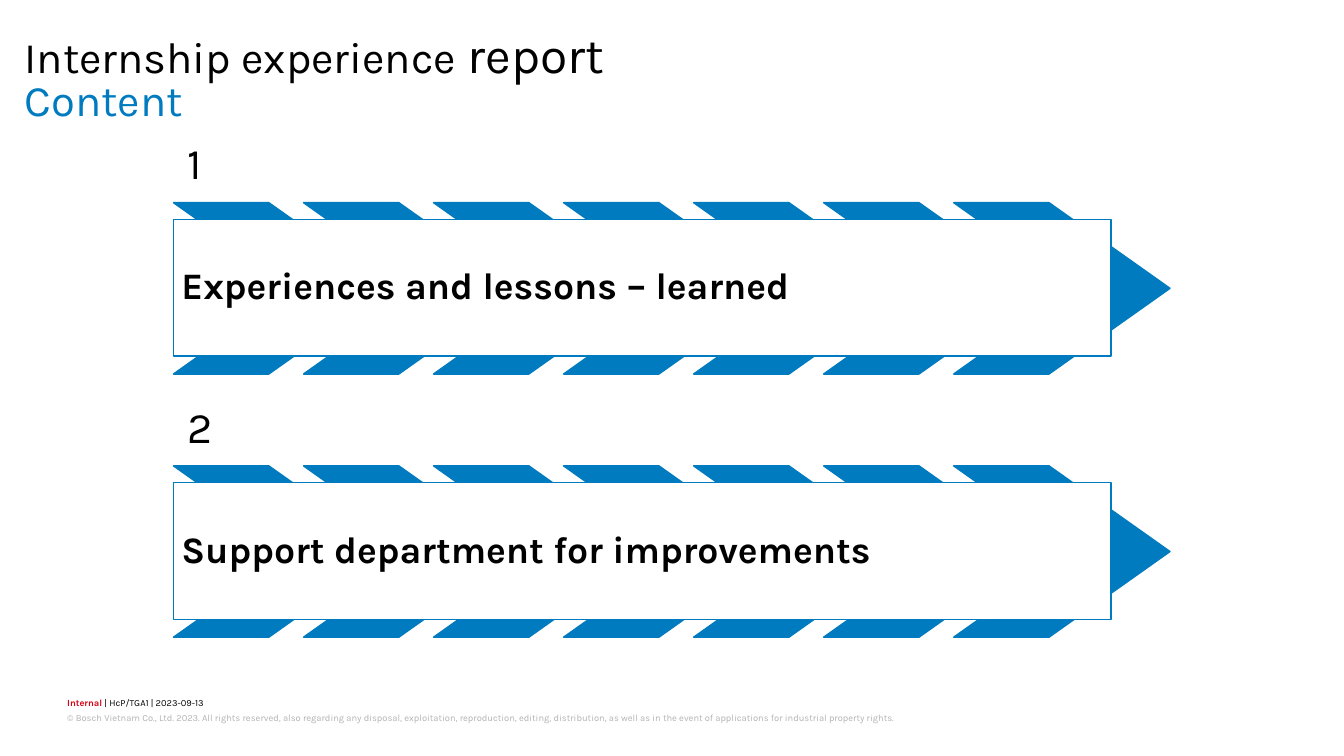
from dataclasses import dataclass

from pptx import Presentation
from pptx.dml.color import RGBColor
from pptx.enum.shapes import MSO_SHAPE
from pptx.enum.text import MSO_ANCHOR, PP_ALIGN
from pptx.util import Inches, Pt

BLUE = RGBColor(0x00, 0x7B, 0xC0)
RED = RGBColor(0xD7, 0x00, 0x12)
GREY = RGBColor(0xB2, 0xB3, 0xB5)
BLACK = RGBColor(0x00, 0x00, 0x00)
WHITE = RGBColor(0xFF, 0xFF, 0xFF)

CHEVRON, RECT = MSO_SHAPE.CHEVRON, MSO_SHAPE.RECTANGLE
TOP, MIDDLE, BOTTOM = MSO_ANCHOR.TOP, MSO_ANCHOR.MIDDLE, MSO_ANCHOR.BOTTOM
LEFT = PP_ALIGN.LEFT
FONT = "Karla"

ROW_LEFT = 1.55
ROW_TOP = 1.06
ROW_STEP = 2.35
CHEVRON_COUNT = 7
CHEVRON_STEP = 1.161


@dataclass
class Run:
    text: str
    size: float
    color: RGBColor = BLACK
    bold: bool = False


@dataclass
class Box:
    left: float
    top: float
    width: float
    height: float

    def emu(self) -> tuple:
        return tuple(Inches(v) for v in (self.left, self.top, self.width, self.height))


def write(sp, runs: list[Run], inset: float = 0, anchor=TOP,
          spacing: float = 0.9) -> None:
    tf = sp.text_frame
    tf.word_wrap = True
    tf.vertical_anchor = anchor
    tf.margin_left = tf.margin_right = Inches(inset)
    tf.margin_top = tf.margin_bottom = Inches(inset)
    p = tf.paragraphs[0]
    p.alignment = LEFT
    p.line_spacing = spacing
    for run in runs:
        r = p.add_run()
        r.text = run.text
        r.font.name = FONT
        r.font.size = Pt(run.size)
        r.font.bold = run.bold
        r.font.color.rgb = run.color


def add_text(slide, box: Box, runs: list[Run], **layout) -> None:
    write(slide.shapes.add_textbox(*box.emu()), runs, **layout)


def add_block(slide, kind, box: Box, fill: RGBColor):
    sp = slide.shapes.add_shape(kind, *box.emu())
    sp.shadow.inherit = False
    sp.fill.solid()
    sp.fill.fore_color.rgb = fill
    sp.line.color.rgb = BLUE
    sp.line.width = Pt(1)
    return sp


def add_row(slide, top: float, number: int, topic: str) -> None:
    add_text(slide, Box(ROW_LEFT, top, 8.26, 0.75), [Run(str(number), 28)],
             inset=0.12, anchor=BOTTOM)
    for i in range(CHEVRON_COUNT):
        box = Box(ROW_LEFT + i * CHEVRON_STEP, top + 0.75, 1.93, 1.53)
        sp = add_block(slide, CHEVRON, box, BLUE)
        sp.adjustments[0] = 0.706
    panel = add_block(slide, RECT, Box(ROW_LEFT, top + 0.9, 8.37, 1.22), WHITE)
    write(panel, [Run(topic, 24, bold=True)], inset=0.07, anchor=MIDDLE)


def main() -> None:
    prs = Presentation()
    prs.slide_width, prs.slide_height = Inches(12), Inches(6.75)
    slide = prs.slides.add_slide(prs.slide_layouts[6])

    # Footer
    add_text(slide, Box(0.6, 6.22, 9.98, 0.12),
             [Run("Internal", 6, RED, True), Run(" | HcP/TGA1 | 2023-09-13", 6)],
             spacing=1.07)
    add_text(slide, Box(0.6, 6.34, 9.98, 0.24),
             [Run("© Bosch Vietnam Co., Ltd. 2023. All rights reserved, also regarding "
                  "any disposal, exploitation, reproduction, editing, distribution, as "
                  "well as in the event of applications for industrial property rights.",
                  6, GREY)],
             spacing=1.2)

    # Heading
    add_text(slide, Box(0.22, 0.71, 11.55, 0.43), [Run("Content", 28, BLUE)],
             spacing=0.89)
    add_text(slide, Box(0.22, 0.28, 11.55, 0.43),
             [Run("Internship experience", 28), Run(" report", 32)], spacing=0.89)

    # Numbered arrows
    topics = ["Experiences and lessons – learned", "Support department for improvements"]
    for i, topic in enumerate(topics):
        add_row(slide, ROW_TOP + i * ROW_STEP, i + 1, topic)

    prs.save("out.pptx")


if __name__ == "__main__":
    main()
